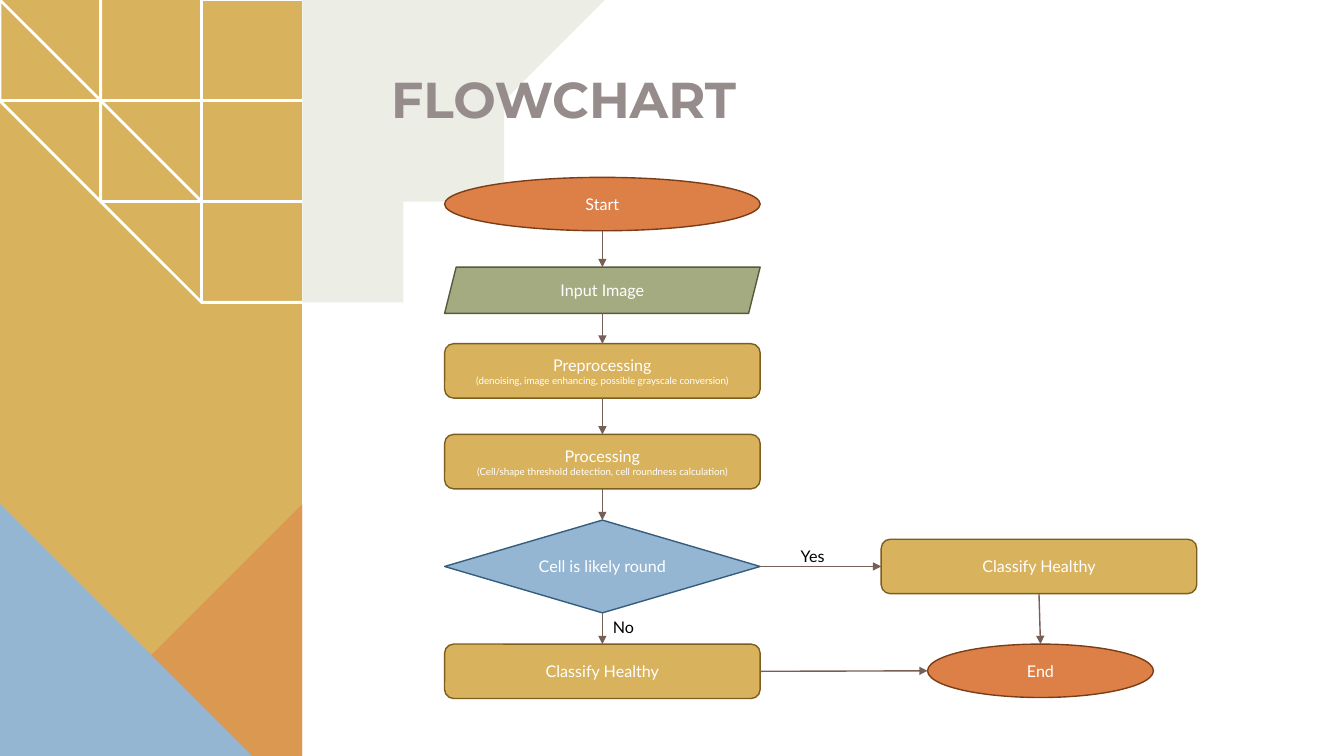
import math
import pptx
import pptx.util
import pptx.dml.color
import pptx.enum.shapes
import pptx.enum.text
import pptx.oxml
import pptx.oxml.ns

Inches = pptx.util.Inches
Pt = pptx.util.Pt
SHAPE = pptx.enum.shapes.MSO_SHAPE
ALIGN = pptx.enum.text.PP_ALIGN
ANCHOR = pptx.enum.text.MSO_ANCHOR
qn = pptx.oxml.ns.qn


def paint(color_format, hex_color, opacity=100):
    color_format.rgb = pptx.dml.color.RGBColor.from_string(hex_color)
    if opacity < 100:
        node = color_format._xFill.find(qn("a:srgbClr"))
        node.append(pptx.oxml.parse_xml(
            '<a:alpha xmlns:a="http://schemas.openxmlformats.org/drawingml/2006/main" '
            f'val="{opacity * 1000}"/>'))


def arc(center_x, radius, start, end, steps=12):
    angles = [math.radians(start + (end - start) * i / steps) for i in range(steps + 1)]
    return [(center_x + radius * math.cos(a), radius * math.sin(a)) for a in angles]


deck = pptx.Presentation()
deck.slide_width = Inches(13.33)
deck.slide_height = Inches(7.5)
page = deck.slides.add_slide(deck.slide_layouts[5])
shapes = page.shapes

# Side decoration: panel, rings drawn as lines, two triangles, quarter disc
EDGE = 2.78
rings = [arc(EDGE, 2.77 - 0.15 * 1.01 * i, 180, 90) for i in range(17)]
decorations = [
    ([[(0, 0), (EDGE, 0), (EDGE, 7.5), (0, 7.5)]], "D8B25C", 100),
    (rings, "FFFFFF", 100),
    ([[(EDGE, 4.72), (EDGE, 7.5), (0, 7.5)]], "DD8047", 50),
    ([[(0, 4.72), (EDGE, 7.5), (0, 7.5)]], "94B6D2", 100),
    ([[(EDGE, 0)] + arc(EDGE, 2.8, 0, 90)], "DBDDCD", 50),
]
for outlines, color, opacity in decorations:
    builder = shapes.build_freeform(*outlines[0][0], scale=Inches(1))
    for number, outline in enumerate(outlines):
        if number:
            builder.move_to(*outline[0])
        builder.add_line_segments(outline[1:], close=outlines is not rings)
    decoration = builder.convert_to_shape()
    decoration.shadow.inherit = False
    if outlines is rings:
        decoration.fill.background()
        paint(decoration.line.color, color)
        decoration.line.width = Pt(2)
    else:
        decoration.fill.solid()
        paint(decoration.fill.fore_color, color, opacity)
        decoration.line.fill.background()

# Title, brought in front of the decoration
title = shapes.title
title.element.getparent().append(title.element)
title.left, title.top, title.width, title.height = map(Inches, (3.78, 0.19, 8.71, 1.09))
frame = title.text_frame
frame.text = "FLOWCHART"
frame.auto_size = pptx.enum.text.MSO_AUTO_SIZE.NONE
frame.vertical_anchor = ANCHOR.BOTTOM
frame.margin_left = frame.margin_right = Inches(0.1)
frame.margin_top = frame.margin_bottom = 0
para = frame.paragraphs[0]
para.alignment = ALIGN.LEFT
para.font.name = "Montserrat"
para.font.size = Pt(36)
para.font.bold = True
paint(para.font.color, "968C8C")

# Flowchart boxes
LEFT, WIDTH = 4.41, 3.13
STEP_HEIGHT = 0.54
styles = {
    "terminal": (SHAPE.OVAL, "DD8047", "7B3D17"),
    "data": (SHAPE.PARALLELOGRAM, "A5AB81", "565A3C"),
    "step": (SHAPE.ROUNDED_RECTANGLE, "D8B25C", "7C5F1E"),
    "decision": (SHAPE.DIAMOND, "94B6D2", "355D7E"),
}
steps = [
    ("start", "terminal", LEFT, 1.76, WIDTH, 0.53, ["Start"]),
    ("input", "data", LEFT, 2.65, WIDTH, 0.46, ["Input Image"]),
    ("preprocessing", "step", LEFT, 3.41, WIDTH, STEP_HEIGHT,
     ["Preprocessing", "(denoising, image enhancing, possible grayscale conversion)"]),
    ("processing", "step", LEFT, 4.31, WIDTH, STEP_HEIGHT,
     ["Processing", "(Cell/shape threshold detection, cell roundness calculation)"]),
    ("decision", "decision", LEFT, 5.16, WIDTH, 0.92, ["Cell is likely round"]),
    ("no", "step", LEFT, 6.39, WIDTH, STEP_HEIGHT, ["Classify Healthy"]),
    ("yes", "step", 8.74, 5.35, WIDTH, STEP_HEIGHT, ["Classify Healthy"]),
    ("end", "terminal", 9.2, 6.39, 2.24, 0.53, ["End"]),
]
boxes = {}
for name, style, left, top, width, height, lines in steps:
    preset, fill, outline = styles[style]
    box = shapes.add_shape(preset, Inches(left), Inches(top), Inches(width), Inches(height))
    box.shadow.inherit = False
    box.fill.solid()
    paint(box.fill.fore_color, fill)
    paint(box.line.color, outline)
    box.line.width = Pt(1)
    frame = box.text_frame
    frame.word_wrap = True
    frame.vertical_anchor = ANCHOR.MIDDLE
    frame.text = "\n".join(lines)
    for para, size in zip(frame.paragraphs, (11.5, 7)):
        para.alignment = ALIGN.CENTER
        para.font.name = "Lato"
        para.font.size = Pt(size)
        paint(para.font.color, "FFFFFF")
    boxes[name] = box

# Arrows between side middles (0 top, 1 left, 2 bottom, 3 right)
arrows = [
    ("start", 2, "input", 0), ("input", 2, "preprocessing", 0),
    ("preprocessing", 2, "processing", 0), ("processing", 2, "decision", 0),
    ("decision", 2, "no", 0), ("decision", 3, "yes", 1),
    ("yes", 2, "end", 0), ("no", 3, "end", 1),
]
four_sided = (SHAPE.ROUNDED_RECTANGLE, SHAPE.DIAMOND)
for source, source_side, target, target_side in arrows:
    points = []
    for name, side in ((source, source_side), (target, target_side)):
        box = boxes[name]
        across, down = ((0.5, 0), (0, 0.5), (0.5, 1), (1, 0.5))[side]
        points += [int(box.left + box.width * across), int(box.top + box.height * down)]
    arrow = shapes.add_connector(pptx.enum.shapes.MSO_CONNECTOR.STRAIGHT, *points)
    if boxes[source].auto_shape_type in four_sided:
        arrow.begin_connect(boxes[source], source_side)
    if boxes[target].auto_shape_type in four_sided:
        arrow.end_connect(boxes[target], target_side)
    paint(arrow.line.color, "775F55")
    arrow.line.width = Pt(1)
    line = arrow.line._get_or_add_ln()
    line.append(line.makeelement(qn("a:tailEnd"), {"type": "triangle"}))
    line.addnext(line.makeelement(qn("a:effectLst"), {}))

# Branch labels
for text, left, top, alignment in (("Yes", 7.54, 5.37, ALIGN.CENTER),
                                   ("No", 5.98, 6.08, ALIGN.LEFT)):
    label = shapes.add_textbox(Inches(left), Inches(top), Inches(1.04), Inches(0.29))
    label.text_frame.word_wrap = True
    label.text_frame.text = text
    para = label.text_frame.paragraphs[0]
    para.alignment = alignment
    para.font.name = "Lato"
    para.font.size = Pt(11.5)
    paint(para.font.color, "000000")

deck.save("out.pptx")
